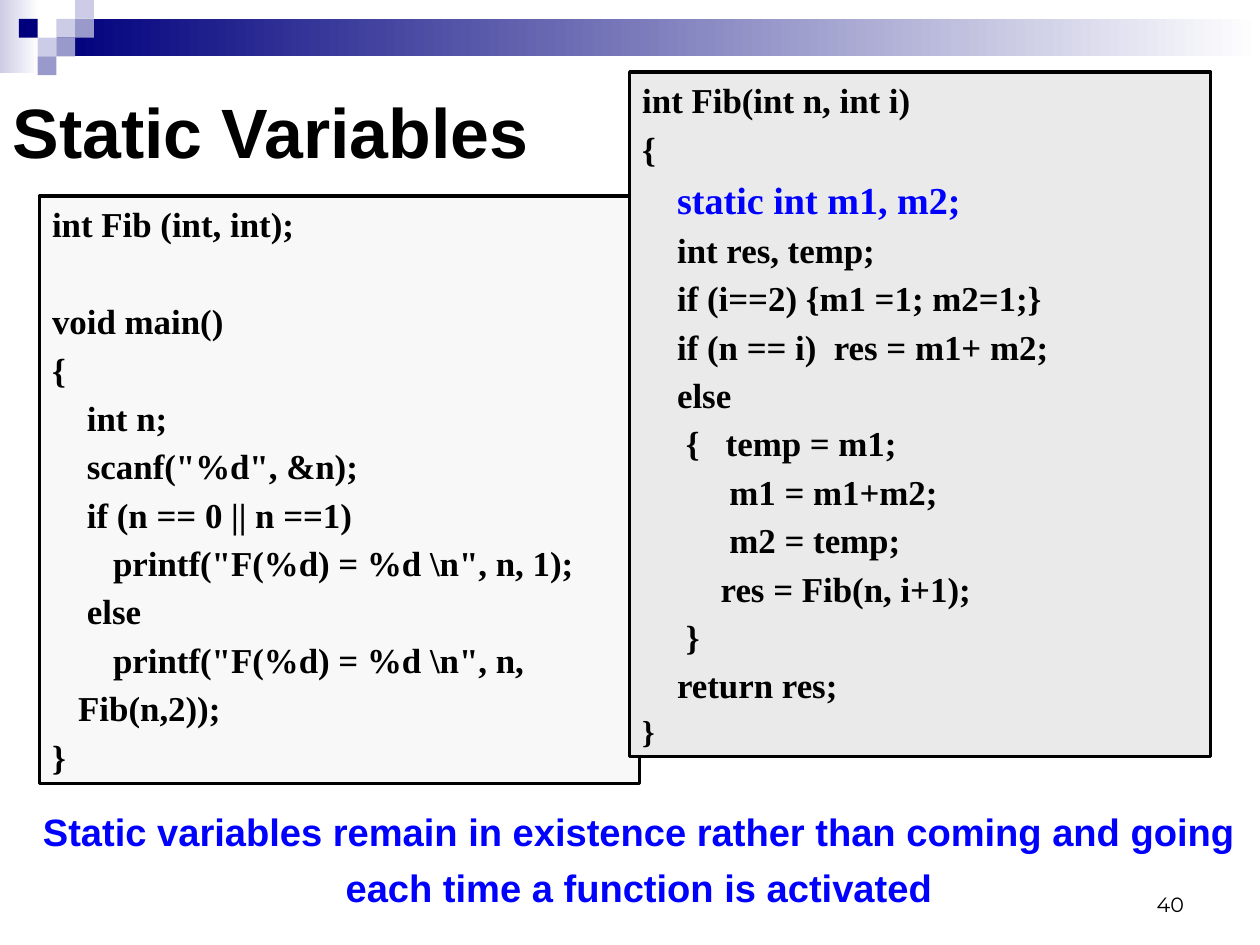
from pptx import Presentation
from pptx import util as u
from pptx.dml.color import RGBColor
from pptx.enum import shapes, text

Pt = u.Pt

NAVY = RGBColor(0x00, 0x00, 0x7D)
LAVENDER = RGBColor(0xCC, 0xCC, 0xE6)
PERIWINKLE = RGBColor(0x99, 0x99, 0xCC)
WHITE = RGBColor(0xFF, 0xFF, 0xFF)
BLACK = RGBColor(0x00, 0x00, 0x00)
BLUE = RGBColor(0x00, 0x00, 0xFF)
PALE_GREY = RGBColor(0xF8, 0xF8, 0xF8)
LIGHT_GREY = RGBColor(0xEA, 0xEA, 0xEA)

SQUARE = 11.85
SQUARES = [  # column, row, colour
    (3, 1, LAVENDER), (4, 0, LAVENDER), (4, 1, PERIWINKLE), (2, 2, LAVENDER),
    (1, 1, NAVY), (3, 2, PERIWINKLE), (2, 3, PERIWINKLE),
]

CODE_SIZE = 22
CODE_GAP = 4.1
CODE_LINE = 26.45

MAIN_CODE = r'''int Fib (int, int);

void main()
{
    int n;
    scanf("%d", &n);
    if (n == 0 || n ==1)
       printf("F(%d) = %d \n", n, 1);
    else
       printf("F(%d) = %d \n", n,
   Fib(n,2));
}'''

FIB_CODE = '''int Fib(int n, int i)
{
    static int m1, m2;
    int res, temp;
    if (i==2) {m1 =1; m2=1;}
    if (n == i)  res = m1+ m2;
    else
     {   temp = m1;
          m1 = m1+m2;
          m2 = temp;
         res = Fib(n, i+1);
     }
    return res;
}'''


def style(span, name, size, color=BLACK, bold=True):
    span.font.name = name
    span.font.size = Pt(size)
    span.font.color.rgb = color
    span.font.bold = bold


def set_frame(frame, anchor, side=7.9, edge=4.3, wrap=True):
    frame.margin_left = frame.margin_right = Pt(side)
    frame.margin_top = frame.margin_bottom = Pt(edge)
    frame.vertical_anchor = anchor
    frame.word_wrap = wrap
    frame.auto_size = text.MSO_AUTO_SIZE.NONE


def add_rectangle(page, left, top, width, height):
    box = page.shapes.add_shape(shapes.MSO_SHAPE.RECTANGLE, Pt(left), Pt(top),
                                Pt(width), Pt(height))
    box.shadow.inherit = False
    box.line.fill.background()
    return box


def add_fading_bar(page, left, top, width, height, color):
    fill = add_rectangle(page, left, top, width, height).fill
    fill.gradient()
    fill.gradient_angle = 0
    for stop, shade in zip(fill.gradient_stops, (color, WHITE)):
        stop.color.rgb = shade


def add_header_pattern(page):
    add_fading_bar(page, 0, 0, 24.5, 46, LAVENDER)
    add_fading_bar(page, 36, 11.85, 757.75, 23.7, NAVY)
    for column, row, color in SQUARES:
        square = add_rectangle(page, column * SQUARE, row * SQUARE, SQUARE, SQUARE)
        square.fill.solid()
        square.fill.fore_color.rgb = color


def add_title(page, words):
    title = page.shapes.title
    title.left, title.top, title.width, title.height = Pt(0), Pt(52), Pt(749.5), Pt(60.5)
    set_frame(title.text_frame, text.MSO_ANCHOR.MIDDLE)
    title.text_frame.text = words
    para = title.text_frame.paragraphs[0]
    para.alignment = text.PP_ALIGN.LEFT
    style(para.runs[0], "Arial", 44)


def add_code(page, code, color, left, top, width, height):
    """Draw a bordered listing; a blank line becomes space before the next one."""
    box = add_rectangle(page, left, top, width, height)
    box.fill.solid()
    box.fill.fore_color.rgb = color
    box.line.color.rgb = BLACK
    box.line.width = Pt(2)
    frame = box.text_frame
    set_frame(frame, text.MSO_ANCHOR.TOP)
    gap = 0
    for number, line in enumerate(code.split("\n")):
        if not line:
            gap += CODE_LINE + CODE_GAP
            continue
        para = frame.add_paragraph() if number else frame.paragraphs[0]
        para.text = line
        para.alignment = text.PP_ALIGN.LEFT
        para.space_before = Pt(gap)
        style(para.runs[0], "Times New Roman", CODE_SIZE)
        gap = CODE_GAP
    return frame.paragraphs


def highlight_statement(para):
    """Colour and enlarge a code line, leaving its indent at the normal size."""
    indent = para.runs[0]
    statement = para.add_run()
    statement.text = indent.text.lstrip()
    indent.text = indent.text[:-len(statement.text)]
    style(statement, "Times New Roman", 24, BLUE)
    para.space_before = Pt(4.5)


def add_text(page, lines, left, top, width, height, alignment, gap=0):
    box = page.shapes.add_textbox(Pt(left), Pt(top), Pt(width), Pt(height))
    frame = box.text_frame
    frame.text = "\n".join(lines)
    for number, para in enumerate(frame.paragraphs):
        para.alignment = alignment
        para.space_before = Pt(gap if number else 0)
    return frame


def main():
    deck = Presentation()
    deck.slide_width, deck.slide_height = Pt(793.75), Pt(595.25)
    page = deck.slides.add_slide(deck.slide_layouts[5])

    add_header_pattern(page)
    add_title(page, "Static Variables")

    number = add_text(page, ["40"], 568.8, 542.2, 185, 39.6, text.PP_ALIGN.RIGHT)
    set_frame(number, text.MSO_ANCHOR.BOTTOM)
    style(number.paragraphs[0].runs[0], "Montserrat", 13, bold=False)

    add_code(page, MAIN_CODE, PALE_GREY, 24.9, 123.5, 378, 370)
    fib_lines = add_code(page, FIB_CODE, LIGHT_GREY, 396.7, 45.4, 366, 431.3)
    highlight_statement(fib_lines[2])
    closing_brace = fib_lines[-1]
    closing_brace.space_before = Pt(3.7)
    closing_brace.runs[0].font.size = Pt(20)

    summary = add_text(
        page,
        ["Static variables remain in existence rather than coming and going",
         "each time a function is activated"],
        42.5, 507, 720, 68.4, text.PP_ALIGN.CENTER, gap=6)
    set_frame(summary, text.MSO_ANCHOR.MIDDLE, side=0, edge=0, wrap=False)
    for para in summary.paragraphs:
        style(para.runs[0], "Arial", 24, BLUE)

    deck.save("out.pptx")


if __name__ == "__main__":
    main()
